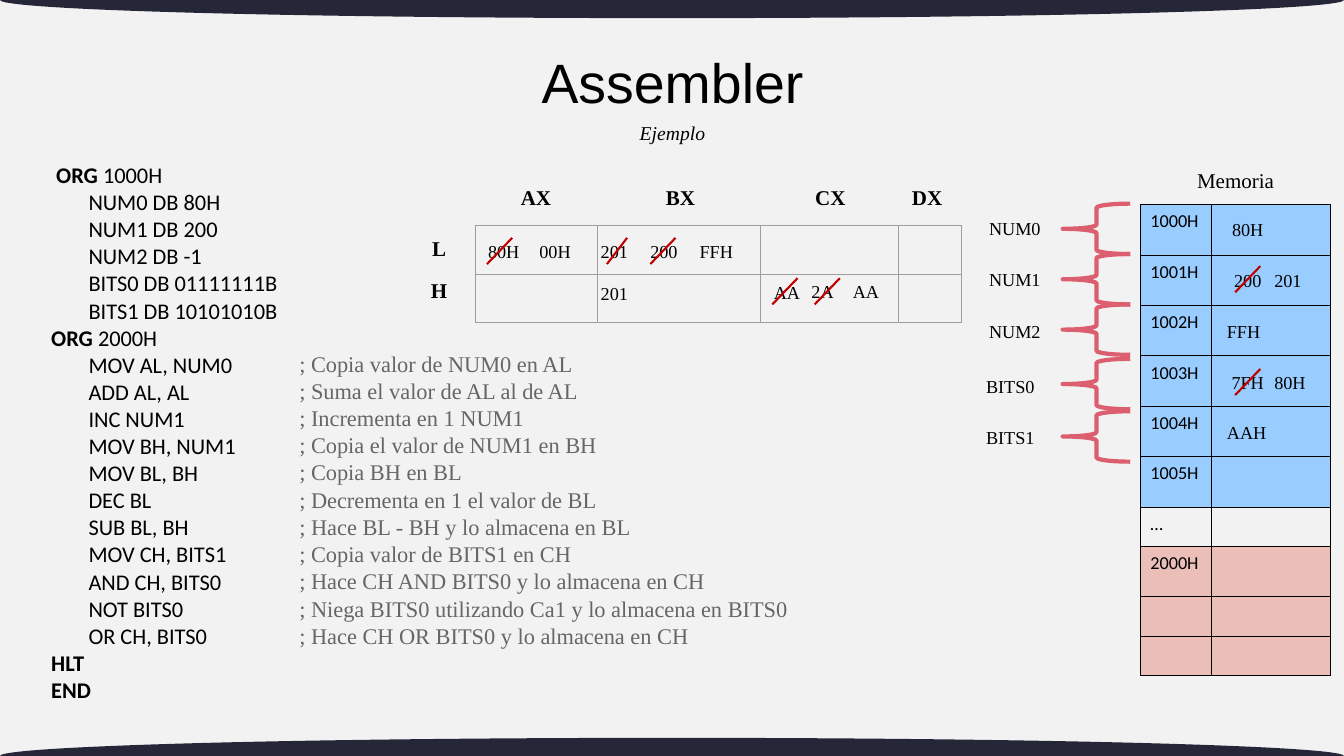
"""Build the Assembler example slide: code, registers and memory."""
from lxml.etree import SubElement
from pptx import Presentation
from pptx.dml.color import RGBColor as Rgb
from pptx.enum.shapes import MSO_CONNECTOR as Conn, MSO_SHAPE as Kind
from pptx.enum.text import MSO_ANCHOR as Anchor, PP_ALIGN as Align
from pptx.oxml.ns import qn
from pptx.util import Inches, Pt


class Theme:
    back, band, ink, note = "F2F2F2", "252738", "000000", "666666"
    data, code, brace, cut, grid = "99CCFF", "EBBEB7", "DC5F6F", "C00000", "9E9E9E"
    sans, body, serif = "Arial", "Calibri", "Times New Roman"
    title, text, head, sub, small = 39.6, 16, 15, 14, 13


CODE = [
    (0, " ", "ORG", " 1000H"),
    (1, "NUM0 DB 80H"), (1, "NUM1 DB 200"), (1, "NUM2 DB -1"),
    (1, "BITS0 DB 01111111B"), (1, "BITS1 DB 10101010B"),
    (0, "", "ORG", " 2000H"),
    (1, "MOV AL, NUM0"), (1, "ADD AL, AL"), (1, "INC NUM1"),
    (1, "MOV BH, NUM1"), (1, "MOV BL, BH"), (1, "DEC BL"),
    (1, "SUB BL, BH"), (1, "MOV CH, BITS1"), (1, "AND CH, BITS0"),
    (1, "NOT BITS0"), (1, "OR CH, BITS0"),
    (0, "", "HLT"), (0, "", "END"),
]
NOTES = [
    ("; Copia valor de NUM0 en AL", 3.93),
    ("; Suma el valor de AL al de AL", 3.93),
    ("; Incrementa en 1 NUM1", 3.93),
    ("; Copia el valor de NUM1 en BH", 3.93),
    ("; Copia BH en BL", 3.93),
    ("; Decrementa en 1 el valor de BL", 3.93),
    ("; Hace BL - BH y lo almacena en BL", 4.49),
    ("; Copia valor de BITS1 en CH", 4.49),
    ("; Hace CH AND BITS0 y lo almacena en CH", 5.67),
    ("; Niega BITS0 utilizando Ca1 y lo almacena en BITS0", 6.32),
    ("; Hace CH OR BITS0 y lo almacena en CH", 6.08),
]
HEADS = [
    ("AX", 4.72, 1.73, 1.19), ("BX", 5.96, 1.73, 1.58),
    ("CX", 7.55, 1.73, 1.37), ("DX", 8.89, 1.73, 0.61),
    ("L", 4.1, 2.24, 0.51), ("H", 4.1, 2.65, 0.51),
]
MID, LEFT = Align.CENTER, Align.LEFT
VALUES = [
    ("80H", 4.69, 2.28, 0.61, MID), ("00H", 5.17, 2.28, 0.67, MID),
    ("201", 5.86, 2.28, 0.61, LEFT), ("200", 6.26, 2.28, 0.65, MID),
    ("FFH", 6.84, 2.28, 0.61, LEFT), ("201", 5.86, 2.7, 0.61, LEFT),
    ("AA", 7.5, 2.69, 0.61, MID), ("2A", 7.95, 2.68, 0.51, LEFT),
    ("AA", 8.36, 2.68, 0.51, LEFT),
    ("80H", 12.07, 2.07, 0.61, MID), ("200", 12.07, 2.57, 0.61, MID),
    ("201", 12.54, 2.57, 0.61, LEFT), ("FFH", 12.07, 3.08, 0.67, LEFT),
    ("7FH", 12.07, 3.58, 0.61, MID), ("80H", 12.54, 3.58, 0.61, LEFT),
    ("AAH", 12.07, 4.08, 0.78, LEFT),
]
CUTS = [
    (5.08, 2.36, 0.25), (6.22, 2.36, 0.2), (6.7, 2.36, 0.25),
    (7.91, 2.76, 0.25), (8.33, 2.76, 0.25),
    (12.5, 2.64, 0.25), (12.5, 3.66, 0.25),
]
NAMES = [
    ("NUM0", 2.02, 9.63, 0.04), ("NUM1", 2.52, 9.63, 0.04),
    ("NUM2", 3.02, 9.63, 0.06), ("BITS0", 3.56, 9.54, 0.06),
    ("BITS1", 4.08, 9.54, 0.05),
]
MEMORY = [(f"100{i}H", 0.5, Theme.data) for i in range(6)] + [
    ("…", 0.39, None), ("2000H", 0.5, Theme.code),
    ("", 0.39, Theme.code), ("", 0.39, Theme.code),
]
REGS = [("", 0.48, None)] * 2

deck = Presentation()
deck.slide_width, deck.slide_height = Inches(13.33), Inches(7.5)
slide = deck.slides.add_slide(deck.slide_layouts[6])
slide.background.fill.solid()
slide.background.fill.fore_color.rgb = Rgb.from_string(Theme.back)
shapes = slide.shapes


def style(font, size, face, color=Theme.ink, bold=False, italic=False):
    font.size, font.name, font.bold, font.italic = Pt(size), face, bold, italic
    font.color.rgb = Rgb.from_string(color)


def frame(x, y, w, h, pad=0.1):
    tf = shapes.add_textbox(*map(Inches, (x, y, w, h))).text_frame
    tf.word_wrap = True
    tf.margin_left = tf.margin_right = Inches(0.1)
    tf.margin_top = tf.margin_bottom = Inches(pad)
    return tf


def label(text, x, y, w, h, size, face=Theme.serif, align=MID, pad=0.1, **look):
    tf = frame(x, y, w, h, pad)
    par = tf.paragraphs[0]
    par.alignment = align
    run = par.add_run()
    run.text = text
    style(run.font, size, face, **look)
    return tf


def border(cell, color):
    props = cell._tc.get_or_add_tcPr()
    for i, side in enumerate(("a:lnL", "a:lnR", "a:lnT", "a:lnB")):
        line = props.makeelement(qn(side), {"w": str(Pt(0.75))})
        fill = SubElement(line, qn("a:solidFill"))
        SubElement(fill, qn("a:srgbClr"), val=color)
        props.insert(i, line)


def table(x, y, cols, rows, edge):
    high = sum(row[1] for row in rows)
    area = map(Inches, (x, y, sum(cols), high))
    grid = shapes.add_table(len(rows), len(cols), *area).table
    grid.first_row = grid.horz_banding = False
    for col, w in zip(grid.columns, cols):
        col.width = Inches(w)
    for r, (text, h, color) in enumerate(rows):
        grid.rows[r].height = Inches(h)
        for c, cell in enumerate(grid.rows[r].cells):
            cell.margin_left = cell.margin_right = Inches(0.1)
            cell.margin_top, cell.margin_bottom = Inches(0.06), Inches(0.05)
            par = cell.text_frame.paragraphs[0]
            style(par.font, Theme.small, Theme.body)
            if text and c == 0:
                run = par.add_run()
                run.text = text
                style(run.font, Theme.small, Theme.body)
            if color:
                cell.fill.solid()
                cell.fill.fore_color.rgb = Rgb.from_string(color)
            else:
                cell.fill.background()
            border(cell, edge)


for y in (-0.18, 7.32):
    band = shapes.add_shape(Kind.OVAL, *map(Inches, (0, y, 13.33, 0.36)))
    band.shadow.inherit = False
    band.fill.solid()
    band.fill.fore_color.rgb = Rgb.from_string(Theme.band)
    band.line.fill.background()

title = label("Assembler", 3.51, 0.38, 6.32, 0.94, Theme.title, Theme.sans, pad=0.05)
title.vertical_anchor = Anchor.MIDDLE
title.paragraphs[0].line_spacing = 0.9
label("Ejemplo", 4.4, 1.15, 4.54, 0.34, Theme.sub, pad=0.05, italic=True)

code = frame(0.4, 1.55, 2.77, 5.75)
for i, (level, *parts) in enumerate(CODE):
    par = code.add_paragraph() if i else code.paragraphs[0]
    props = par._p.get_or_add_pPr()
    props.set("marL", str(Inches(0.38)))
    props.set("indent", str(Inches(0 if level else -0.37)))
    par.line_spacing = 0.8
    if i:
        par.space_before = Pt(4)
    for n, part in enumerate(parts):
        if part:
            run = par.add_run()
            run.text = part
            style(run.font, Theme.text, Theme.body, bold=n == 1)

for i, (text, w) in enumerate(NOTES):
    label(text, 2.87, 3.37 + 0.27 * i, w, 0.34, Theme.text, align=LEFT, color=Theme.note)

table(4.72, 2.24, (1.21, 1.61, 1.37, 0.63), REGS, Theme.grid)
table(11.31, 2.03, (0.71, 1.18), MEMORY, Theme.ink)
label("Memoria", 11.57, 1.56, 1.37, 0.4, Theme.head)
for text, x, y, w in HEADS:
    label(text, x, y, w, 0.4, Theme.head, bold=True)

for text, y, x, drop in NAMES:
    brace = shapes.add_shape(Kind.RIGHT_BRACE, *map(Inches, (10.54, y, 0.67, 0.5)))
    brace.rotation = 180
    brace.shadow.inherit = False
    brace.fill.background()
    brace.line.color.rgb = Rgb.from_string(Theme.brace)
    brace.line.width = Pt(3)
    label(text, x, y + drop, 10.5 - x, 0.34, Theme.small)

for text, x, y, w, align in VALUES:
    label(text, x, y, w, 0.34, Theme.small, align=align)
for x, y, w in CUTS:
    ends = map(Inches, (x, y, x - w, y + 0.26))
    cut = shapes.add_connector(Conn.STRAIGHT, *ends)
    cut.line.color.rgb = Rgb.from_string(Theme.cut)
    cut.line.width = Pt(1.5)
    SubElement(cut._element.spPr, qn("a:effectLst"))

deck.save("out.pptx")
